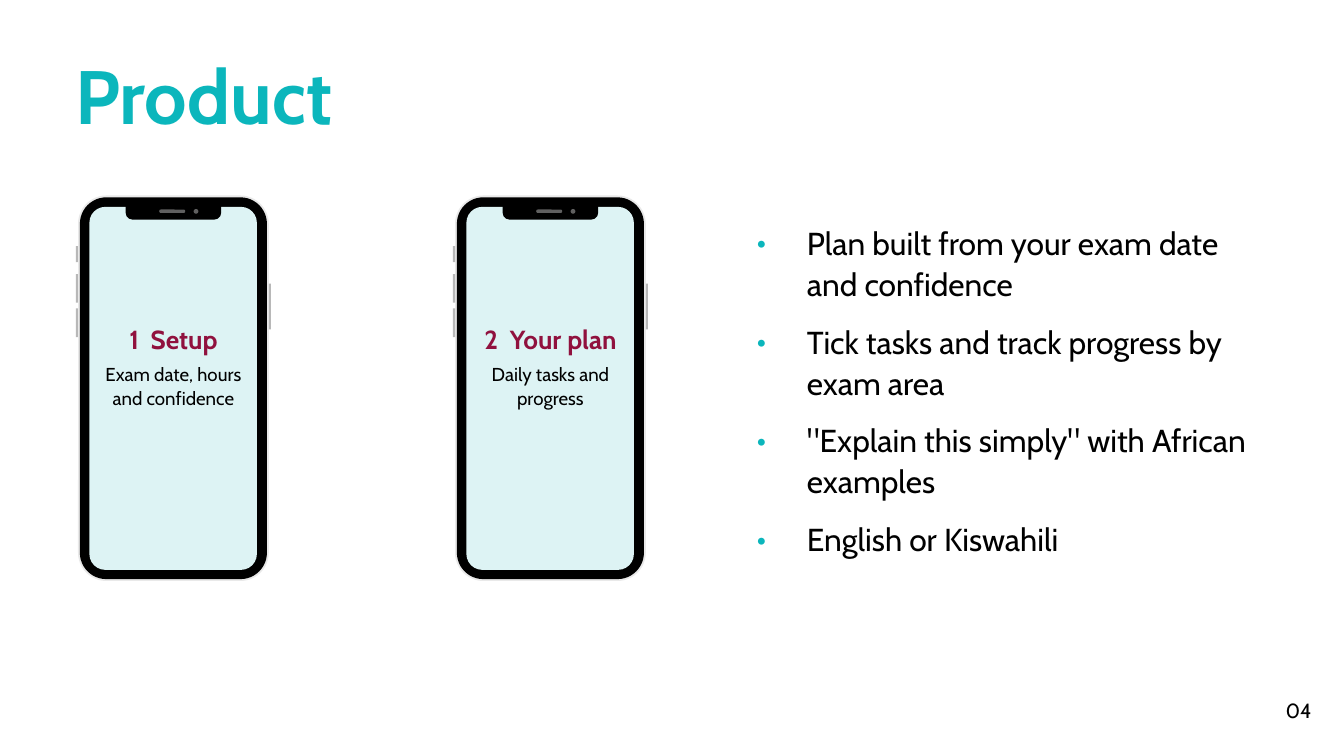
from dataclasses import dataclass
from typing import Optional

from lxml.etree import SubElement
from pptx import Presentation
from pptx.dml.color import RGBColor
from pptx.enum.shapes import MSO_SHAPE
from pptx.enum.text import MSO_ANCHOR, MSO_AUTO_SIZE, PP_ALIGN
from pptx.oxml.ns import qn
from pptx.util import Cm, Pt


@dataclass(frozen=True)
class TextStyle:
    size: float
    line: float
    color: str
    bold: bool = False
    space_after: float = 0
    align: PP_ALIGN = PP_ALIGN.LEFT


@dataclass(frozen=True)
class Theme:
    font: str = "Cabin"
    accent: str = "0BB6BC"
    rim: str = "E9E9E9"
    body: str = "000000"
    screen: str = "DDF3F4"
    sensor: str = "606060"
    button: str = "B8B8B8"
    title: TextStyle = TextStyle(81, 97.2, "0BB6BC", bold=True)
    number: TextStyle = TextStyle(22, 27.5, "000000", align=PP_ALIGN.RIGHT)
    bullet: TextStyle = TextStyle(34, 44, "000000", space_after=18)
    last_bullet: TextStyle = TextStyle(34, 44, "000000")
    heading: TextStyle = TextStyle(28, 34, "90113E", True, 6, PP_ALIGN.CENTER)
    caption: TextStyle = TextStyle(20, 26, "000000", align=PP_ALIGN.CENTER)


@dataclass(frozen=True)
class Part:
    """One piece of a phone, in centimetres from the phone's top left corner."""
    kind: MSO_SHAPE
    left: float
    top: float
    width: float
    height: float
    color: str
    radius: Optional[float] = None


@dataclass(frozen=True)
class Phone:
    left: float
    heading: str
    caption: str


THEME = Theme()
ROUNDED = MSO_SHAPE.ROUNDED_RECTANGLE
PHONE_TOP = 7.39
PHONE_PARTS = [
    Part(ROUNDED, 0, 0, 7.21, 14.57, THEME.rim, 1.07),
    Part(ROUNDED, 0.07, 0.07, 7.07, 14.43, THEME.body, 1),
    Part(ROUNDED, 0.43, 0.43, 6.33, 13.72, THEME.screen, 0.6),
    Part(MSO_SHAPE.ROUND_2_SAME_RECTANGLE, 1.8, 0.4, 3.61, 0.51, THEME.body, 0.33),
    Part(ROUNDED, 3.07, 0.53, 0.98, 0.13, THEME.sensor, 0.06),
    Part(MSO_SHAPE.OVAL, 4.37, 0.51, 0.18, 0.18, THEME.sensor),
    *(
        Part(MSO_SHAPE.RECTANGLE, left, top, 0.08, height, THEME.button)
        for left, top, height in [
            (-0.08, 1.91, 0.61),
            (-0.08, 2.97, 1.08),
            (-0.08, 4.27, 1.08),
            (7.21, 3.33, 1.73),
        ]
    ),
]
PHONES = [
    Phone(2.95, "1  Setup", "Exam date, hours and confidence"),
    Phone(17.2, "2  Your plan", "Daily tasks and progress"),
]
FEATURES = [
    "Plan built from your exam date and confidence",
    "Tick tasks and track progress by exam area",
    '"Explain this simply" with African examples',
    "English or Kiswahili",
]


def place(shape, left: float, top: float, width: float, height: float) -> None:
    shape.left, shape.top = Cm(left), Cm(top)
    shape.width, shape.height = Cm(width), Cm(height)


def add_bullet(paragraph) -> None:
    properties = paragraph._p.get_or_add_pPr()
    properties.set("marL", str(Cm(1.9)))
    properties.set("indent", str(-Cm(1.9)))
    color = SubElement(properties, qn("a:buClr"))
    SubElement(color, qn("a:srgbClr"), val=THEME.accent)
    SubElement(properties, qn("a:buFont"), typeface=THEME.font)
    SubElement(properties, qn("a:buChar"), char="•")


def write(shape, lines: list[tuple[str, TextStyle]], bulleted: bool = False) -> None:
    """Fill a shape with one paragraph per line, without margins."""
    frame = shape.text_frame
    frame.word_wrap = True
    frame.auto_size = MSO_AUTO_SIZE.NONE
    frame.vertical_anchor = MSO_ANCHOR.TOP
    frame.margin_left = frame.margin_right = frame.margin_top = frame.margin_bottom = 0
    for index, (text, style) in enumerate(lines):
        paragraph = frame.add_paragraph() if index else frame.paragraphs[0]
        if bulleted:
            add_bullet(paragraph)
        paragraph.alignment = style.align
        paragraph.line_spacing = Pt(style.line)
        paragraph.space_before = Pt(0)
        paragraph.space_after = Pt(style.space_after)
        run = paragraph.add_run()
        run.text = text
        run.font.name = THEME.font
        run.font.size = Pt(style.size)
        run.font.bold = style.bold
        run.font.color.rgb = RGBColor.from_string(style.color)


def add_text(slide, left: float, top: float, width: float, height: float,
             lines: list[tuple[str, TextStyle]]) -> None:
    box = slide.shapes.add_textbox(Cm(left), Cm(top), Cm(width), Cm(height))
    write(box, lines)


def draw_part(group, part: Part, phone_left: float) -> None:
    shape = group.shapes.add_shape(
        part.kind, Cm(phone_left + part.left), Cm(PHONE_TOP + part.top),
        Cm(part.width), Cm(part.height))
    shape.shadow.inherit = False
    shape.fill.solid()
    shape.fill.fore_color.rgb = RGBColor.from_string(part.color)
    shape.line.fill.background()
    if part.radius is not None:
        ratio = part.radius / min(part.width, part.height)
        if part.kind == MSO_SHAPE.ROUND_2_SAME_RECTANGLE:
            shape.adjustments[0], shape.adjustments[1] = 0, ratio
        else:
            shape.adjustments[0] = ratio


def draw_phone(slide, phone: Phone) -> None:
    group = slide.shapes.add_group_shape()
    for part in PHONE_PARTS:
        draw_part(group, part, phone.left)
    add_text(slide, phone.left + 0.76, PHONE_TOP + 4.83, 5.69, 5.28,
             [(phone.heading, THEME.heading), (phone.caption, THEME.caption)])


def main() -> None:
    presentation = Presentation()
    presentation.slide_width = Cm(50.8)
    presentation.slide_height = Cm(50.8) * 9 // 16
    slide = presentation.slides.add_slide(presentation.slide_layouts[1])

    title, features = slide.placeholders
    place(title, 2.84, 1.85, 24.05, 3.4)
    write(title, [("Product", THEME.title)])

    for phone in PHONES:
        draw_phone(slide, phone)

    place(features, 28.6, 8.33, 19.46, 13.89)
    *first, last = FEATURES
    lines = [(text, THEME.bullet) for text in first] + [(last, THEME.last_bullet)]
    write(features, lines, bulleted=True)

    add_text(slide, 47.37, 26.34, 2.21, 0.97, [("04", THEME.number)])
    presentation.save("out.pptx")


if __name__ == "__main__":
    main()
